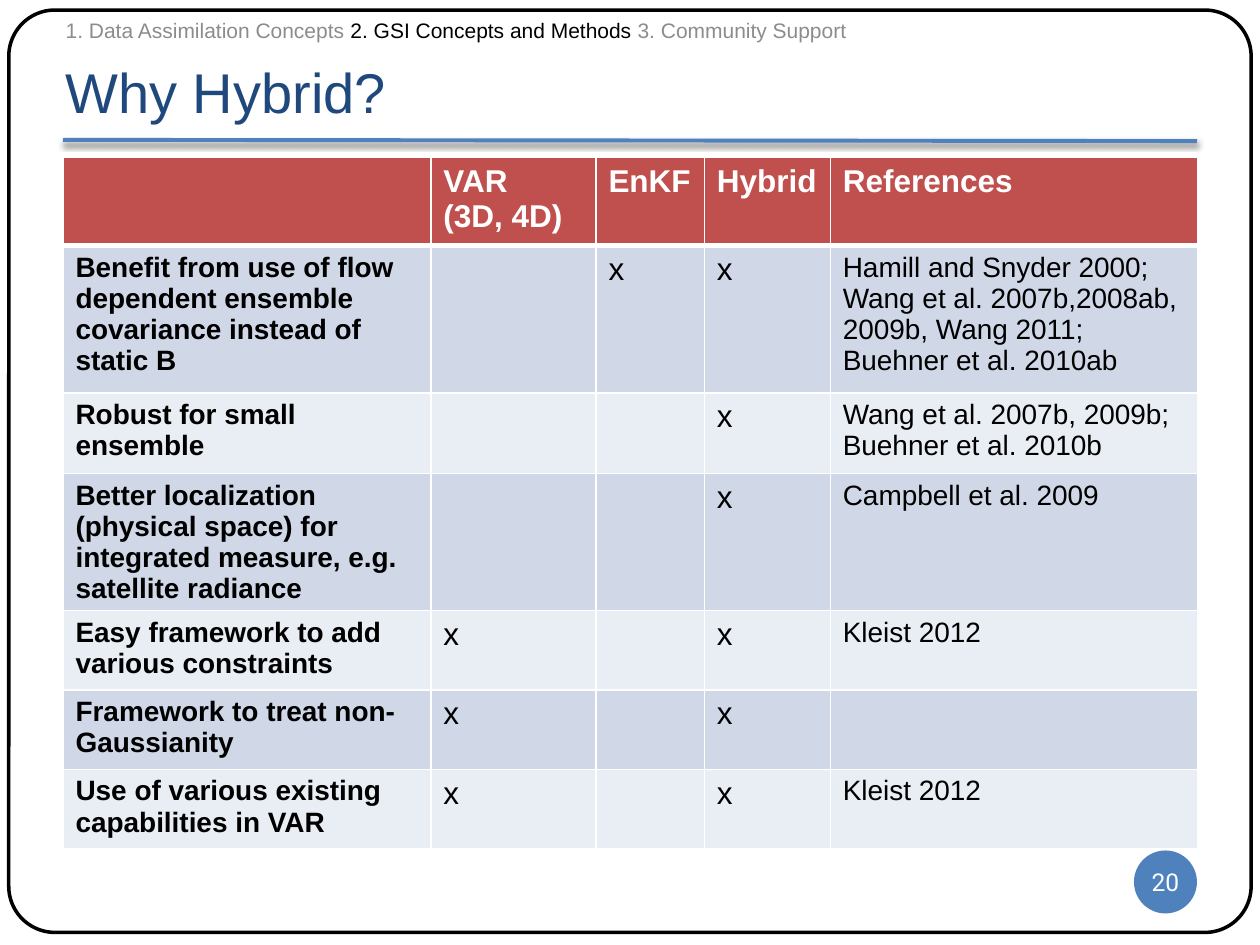
"""Build the "Why Hybrid?" comparison slide."""
from lxml.etree import SubElement
from pptx import Presentation
from pptx.dml.color import RGBColor
from pptx.enum.shapes import MSO_CONNECTOR, MSO_SHAPE
from pptx.enum.text import MSO_ANCHOR, MSO_AUTO_SIZE, PP_ALIGN
from pptx.oxml import parse_xml
from pptx.oxml.ns import nsdecls, qn
from pptx.util import Inches, Pt


def colour(value):
    return RGBColor.from_string(value)


def format_font(font, hex_colour, **values):
    for name, value in values.items():
        setattr(font, name, value)
    font.color.rgb = colour(hex_colour)


deck = Presentation()
deck.slide_width, deck.slide_height = Inches(10), Inches(7.5)
page = deck.slides.add_slide(deck.slide_layouts[5])

frame = page.shapes.add_shape(
    MSO_SHAPE.ROUNDED_RECTANGLE, Inches(0.07), Inches(0.08), Inches(9.86), Inches(7.32))
frame.adjustments[0] = 0.05
frame.shadow.inherit = False
frame.fill.solid()
frame.fill.fore_color.rgb = colour("FFFFFF")
frame.line.color.rgb = colour("000000")
frame.line.width = Pt(2)

rule = page.shapes.add_connector(
    MSO_CONNECTOR.STRAIGHT, Inches(0.5), Inches(1.11), Inches(9.5), Inches(1.12))
rule.line.color.rgb = colour("4F81BD")
rule.line.width = Pt(2.25)
rule.element.spPr.append(parse_xml(
    f'<a:effectLst {nsdecls("a")}>'
    f'<a:outerShdw blurRad="{Pt(3)}" dist="{Pt(2)}" dir="5400000" rotWithShape="0">'
    '<a:srgbClr val="000000"><a:alpha val="50000"/></a:srgbClr>'
    '</a:outerShdw></a:effectLst>'))

title = page.shapes.title
page.shapes.element.append(title.element)
title.left, title.top, title.width, title.height = (
    Inches(0.42), Inches(0.22), Inches(9), Inches(0.87))
title_format = {
    "text": "Why Hybrid?",
    "auto_size": MSO_AUTO_SIZE.NONE,
    "vertical_anchor": MSO_ANCHOR.BOTTOM,
    "margin_bottom": Inches(0.1),
}
for name, value in title_format.items():
    setattr(title.text_frame, name, value)
para = title.text_frame.paragraphs[0]
para.alignment = PP_ALIGN.LEFT
format_font(para.runs[0].font, "1F497D", name="Arial", size=Pt(32))

rows = [
    ("", "VAR\n(3D, 4D)", "EnKF", "Hybrid", "References"),
    ("Benefit from use of flow dependent ensemble covariance instead of static B",
     "", "x", "x",
     "Hamill and Snyder 2000; Wang et al. 2007b,2008ab, 2009b, Wang 2011; "
     "Buehner et al. 2010ab"),
    ("Robust for small ensemble", "", "", "x",
     "Wang et al. 2007b, 2009b; Buehner et al. 2010b"),
    ("Better localization (physical space) for integrated measure, e.g. satellite radiance",
     "", "", "x", "Campbell et al. 2009"),
    ("Easy framework to add various constraints", "x", "", "x", "Kleist 2012"),
    ("Framework to treat non-Gaussianity", "x", "", "x", ""),
    ("Use of various existing capabilities in VAR", "x", "", "x", "Kleist 2012"),
]
column_widths = [2.92, 1.31, 0.86, 1, 2.92]
row_heights = [0.7, 1.17, 0.64, 0.9, 0.63, 0.63, 0.63]
table = page.shapes.add_table(
    len(rows), len(column_widths), Inches(0.5), Inches(1.25),
    Inches(sum(column_widths)), Inches(sum(row_heights))).table
for column, width in zip(table.columns, column_widths):
    column.width = Inches(width)
for row, height in zip(table.rows, row_heights):
    row.height = Inches(height)

for row_index, texts in enumerate(rows):
    header = row_index == 0
    row_fill = "C0504D" if header else ("E9EDF4", "D0D8E8")[row_index % 2]
    border_widths = {
        "a:lnL": 1, "a:lnR": 1,
        "a:lnT": 3 if row_index == 1 else 1,
        "a:lnB": 3 if header else 1,
    }
    for column_index, text in enumerate(texts):
        cell = table.cell(row_index, column_index)
        properties = cell._tc.get_or_add_tcPr()
        for tag, width in border_widths.items():
            border = SubElement(properties, qn(tag), w=str(Pt(width)))
            border_fill = SubElement(border, qn("a:solidFill"))
            SubElement(border_fill, qn("a:srgbClr"), val="FFFFFF")
        cell.fill.solid()
        cell.fill.fore_color.rgb = colour(row_fill)
        cell.text = text
        small = not header and column_index in (0, 4) and text
        for para in cell.text_frame.paragraphs:
            for span in para.runs:
                format_font(span.font, "FFFFFF" if header else "000000", name="Arial",
                            size=Pt(16 if small else 18),
                            bold=header or column_index == 0)

badge = page.shapes.add_shape(
    MSO_SHAPE.OVAL, Inches(9), Inches(6.75), Inches(0.5), Inches(0.5))
badge.shadow.inherit = False
badge.fill.solid()
badge.fill.fore_color.rgb = colour("4F81BD")
badge.line.fill.background()
badge_format = {
    "text": "20", "word_wrap": False, "vertical_anchor": MSO_ANCHOR.MIDDLE,
    "margin_left": 0, "margin_right": 0, "margin_top": 0, "margin_bottom": 0,
}
for name, value in badge_format.items():
    setattr(badge.text_frame, name, value)
para = badge.text_frame.paragraphs[0]
para.alignment = PP_ALIGN.CENTER
format_font(para.runs[0].font, "FFFFFF", name="Roboto", size=Pt(14))

outline = page.shapes.add_textbox(Inches(-0.17), Inches(0.04), Inches(7.58), Inches(0.4))
outline.text_frame.word_wrap = True
outline.text_frame.vertical_anchor = MSO_ANCHOR.MIDDLE
para = outline.text_frame.paragraphs[0]
para.alignment = PP_ALIGN.CENTER
sections = [
    ("1. Data Assimilation Concepts ", "8C8C8C"),
    ("2. GSI Concepts and Methods", "000000"),
    (" 3. Community Support", "8C8C8C"),
]
for text, hex_colour in sections:
    span = para.add_run()
    span.text = text
    format_font(span.font, hex_colour, name="Arial", size=Pt(12))

deck.save("out.pptx")
